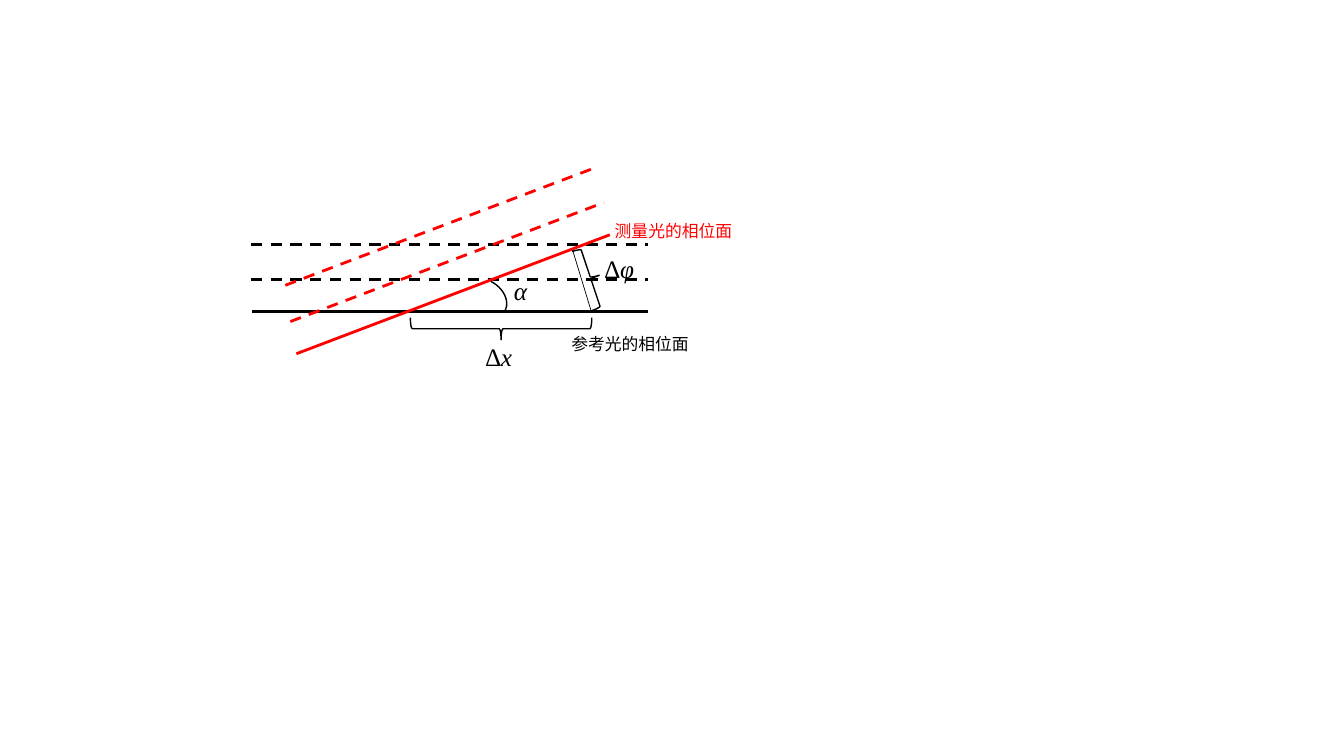
from lxml import etree
from pptx import Presentation
from pptx.dml.color import RGBColor
from pptx.enum import dml, shapes, text
from pptx.oxml import ns
from pptx.util import Pt

BLACK, RED = "000000", "FF0000"
SERIF, CHINESE = "Times New Roman", "Noto Sans CJK SC"

presentation = Presentation()
presentation.slide_width, presentation.slide_height = Pt(960), Pt(540)
slide = presentation.slides.add_slide(presentation.slide_layouts[6])
diagram = slide.shapes.add_group_shape().shapes


def add_line(start, end, color=BLACK, width=2, dashed=False):
    line = diagram.add_connector(
        shapes.MSO_CONNECTOR.STRAIGHT, *[Pt(value) for value in (*start, *end)])
    line.line.color.rgb = RGBColor.from_string(color)
    line.line.width = Pt(width)
    if dashed:
        line.line.dash_style = dml.MSO_LINE.DASH
    etree.SubElement(line._element.spPr, ns.qn("a:effectLst"))


def add_label(words, left, top, width, height, size=18, font=SERIF, color=BLACK,
              upright=""):
    """Italic for the serif font; characters listed in upright stay upright."""
    box = diagram.add_textbox(Pt(left), Pt(top), Pt(width), Pt(height))
    frame = box.text_frame
    frame.word_wrap = True
    frame.auto_size = text.MSO_AUTO_SIZE.SHAPE_TO_FIT_TEXT
    paragraph = frame.paragraphs[0]
    for part in filter(None, (upright, words)):
        run = paragraph.add_run()
        run.text = part
        run.font.size = Pt(size)
        run.font.name = font
        run.font.italic = font == SERIF and part != upright
        run.font.color.rgb = RGBColor.from_string(color)
        east_asian = etree.SubElement(run.font._element, ns.qn("a:ea"))
        east_asian.set("typeface", font)


# Phase planes: reference light is level, measuring light is tilted
for left, top, dashed in [(180, 222.5, False), (179.3, 199.4, True), (179.3, 174.8, True)]:
    add_line((left, top), (463, top), dashed=dashed)
for left, bottom, dashed in [(211.7, 252.7, False), (207.4, 229.7, True), (203.8, 203.8, True)]:
    add_line((left, bottom), (left + 223.9, bottom - 85), RED, dashed=dashed)

# Phase difference at the far end
add_line((409, 178.6), (422.6, 223.2), width=0.5)

# Angle arc and the two braces
for kind, left, top, width, height, rotation in [
    (shapes.MSO_SHAPE.ARC, 325.4, 199.4, 37.4, 28.8, 27.1),
    (shapes.MSO_SHAPE.RIGHT_BRACE, 415.4, 176.4, 13, 44.6, 341.5),
    (shapes.MSO_SHAPE.RIGHT_BRACE, 350, 170, 15.8, 129.6, 90),
]:
    mark = diagram.add_shape(kind, Pt(left), Pt(top), Pt(width), Pt(height))
    mark.rotation = rotation
    mark.shadow.inherit = False
    mark.fill.background()
    mark.line.color.rgb = RGBColor.from_string(BLACK)
    mark.line.width = Pt(1)

add_label("α", 360, 193, 58.3, 28.8)
add_label("∆x", 339.8, 240.5, 36, 28.8)
add_label("φ", 424.8, 177.1, 73.4, 30.2, upright="∆")
add_label("参考光的相位面", 401, 234.7, 162.7, 21.6, size=12, font=CHINESE)
add_label("测量光的相位面", 432, 154.1, 100.1, 21.6, size=12, font=CHINESE, color=RED)

presentation.save("out.pptx")
